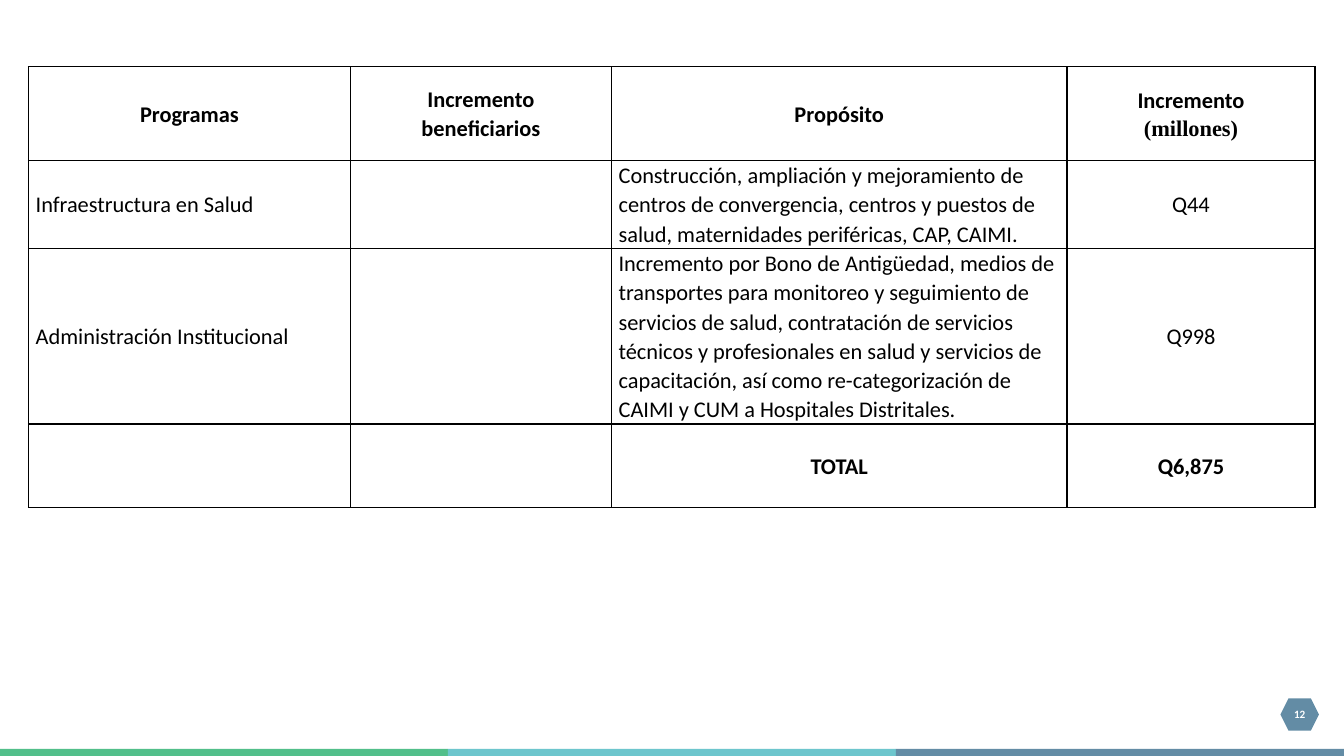
"""Builds the slide with the table of health programme budget increases."""
from dataclasses import dataclass

from lxml import etree
from pptx import Presentation
from pptx.dml.color import RGBColor
from pptx.enum import shapes, text
from pptx.oxml import ns
from pptx.util import Cm, Pt


@dataclass(frozen=True)
class Theme:
    green: str = "52BF8A"
    teal: str = "6DC6CD"
    slate: str = "638CA5"
    ink: str = "000000"
    paper: str = "FFFFFF"
    font: str = "Calibri"
    unit_font: str = "Times New Roman"
    table_size: float = 16
    number_size: float = 8
    border_width: float = 1
    line_spacing: float = 1.07


@dataclass(frozen=True)
class Block:
    kind: shapes.MSO_SHAPE
    left: float
    top: float
    width: float
    height: float
    color: str


@dataclass(frozen=True)
class Entry:
    wording: str = ""
    bold: bool = False
    align: text.PP_ALIGN = text.PP_ALIGN.CENTER
    last_line_font: str = ""


THEME = Theme()
SLIDE_WIDTH, SLIDE_HEIGHT = 33.87, 19.05
BAND_HEIGHT = 0.18
BAND_WIDTH = SLIDE_WIDTH / 3
BANDS = [
    Block(shapes.MSO_SHAPE.RECTANGLE, position * BAND_WIDTH,
          SLIDE_HEIGHT - BAND_HEIGHT, BAND_WIDTH, BAND_HEIGHT, color)
    for position, color in enumerate((THEME.green, THEME.teal, THEME.slate))
]
PAGE_BADGE = Block(shapes.MSO_SHAPE.HEXAGON, 32.27, 17.6, 0.97, 0.81, THEME.slate)

LEFT = text.PP_ALIGN.LEFT
COLUMN_WIDTHS = (8.11, 6.58, 11.48, 6.25)
ROW_HEIGHTS = (2.36, 2.21, 4.43, 2.1)
PROGRAMMES = (
    (Entry("Programas", True), Entry("Incremento\nbeneficiarios", True),
     Entry("Propósito", True),
     Entry("Incremento\n(millones)", True, last_line_font=THEME.unit_font)),
    (Entry("Infraestructura en Salud", align=LEFT), Entry(),
     Entry("Construcción, ampliación y mejoramiento de centros de convergencia, "
           "centros y puestos de salud, maternidades periféricas, CAP, CAIMI.",
           align=LEFT),
     Entry("Q44")),
    (Entry("Administración Institucional", align=LEFT), Entry(),
     Entry("Incremento por Bono de Antigüedad, medios de transportes para monitoreo "
           "y seguimiento de servicios de salud, contratación de servicios técnicos "
           "y profesionales en salud y servicios de capacitación, así como "
           "re-categorización de CAIMI y CUM a Hospitales Distritales.", align=LEFT),
     Entry("Q998")),
    (Entry(), Entry(), Entry("TOTAL", True), Entry("Q6,875", True)),
)


def style_run(run, size: float, color: str, bold: bool, font: str = THEME.font) -> None:
    run.font.name = font
    run.font.size = Pt(size)
    run.font.bold = bold
    run.font.color.rgb = RGBColor.from_string(color)


def draw_block(slide, block: Block):
    shape = slide.shapes.add_shape(
        block.kind, Cm(block.left), Cm(block.top), Cm(block.width), Cm(block.height))
    shape.shadow.inherit = False
    shape.fill.solid()
    shape.fill.fore_color.rgb = RGBColor.from_string(block.color)
    shape.line.fill.background()
    return shape


def draw_page_number(slide, number: str) -> None:
    frame = draw_block(slide, PAGE_BADGE).text_frame
    frame.margin_left = frame.margin_right = frame.margin_top = frame.margin_bottom = 0
    frame.vertical_anchor = text.MSO_ANCHOR.MIDDLE
    frame.text = number
    frame.paragraphs[0].alignment = text.PP_ALIGN.CENTER
    style_run(frame.paragraphs[0].runs[0], THEME.number_size, THEME.paper, True)


def add_borders(cell) -> None:
    properties = cell._tc.get_or_add_tcPr()
    for side in ("lnL", "lnR", "lnT", "lnB"):
        border = etree.SubElement(
            properties, ns.qn(f"a:{side}"), w=str(Pt(THEME.border_width)))
        fill = etree.SubElement(border, ns.qn("a:solidFill"))
        etree.SubElement(fill, ns.qn("a:srgbClr"), val=THEME.ink)


def fill_cell(cell, entry: Entry) -> None:
    add_borders(cell)
    cell.fill.solid()
    cell.fill.fore_color.rgb = RGBColor.from_string(THEME.paper)
    cell.margin_left = cell.margin_right = Cm(0.18)
    cell.margin_top = cell.margin_bottom = 0
    cell.vertical_anchor = text.MSO_ANCHOR.MIDDLE
    cell.text_frame.text = entry.wording
    for paragraph in cell.text_frame.paragraphs:
        paragraph.alignment = entry.align
        paragraph.line_spacing = THEME.line_spacing
        for run in paragraph.runs:
            style_run(run, THEME.table_size, THEME.ink, entry.bold)
    if entry.last_line_font:
        paragraph.runs[0].font.name = entry.last_line_font


def draw_programmes(slide) -> None:
    table = slide.shapes.add_table(
        len(ROW_HEIGHTS), len(COLUMN_WIDTHS), Cm(0.72), Cm(1.68),
        Cm(sum(COLUMN_WIDTHS)), Cm(sum(ROW_HEIGHTS))).table
    table.first_row = table.horz_banding = False
    for column, width in zip(table.columns, COLUMN_WIDTHS):
        column.width = Cm(width)
    for row, height, entries in zip(table.rows, ROW_HEIGHTS, PROGRAMMES):
        row.height = Cm(height)
        for cell, entry in zip(row.cells, entries):
            fill_cell(cell, entry)


def main() -> None:
    deck = Presentation()
    deck.slide_width, deck.slide_height = Cm(SLIDE_WIDTH), Cm(SLIDE_HEIGHT)
    slide = deck.slides.add_slide(deck.slide_layouts[6])
    for band in BANDS:
        draw_block(slide, band)
    draw_page_number(slide, "12")
    draw_programmes(slide)
    deck.save("out.pptx")


if __name__ == "__main__":
    main()
